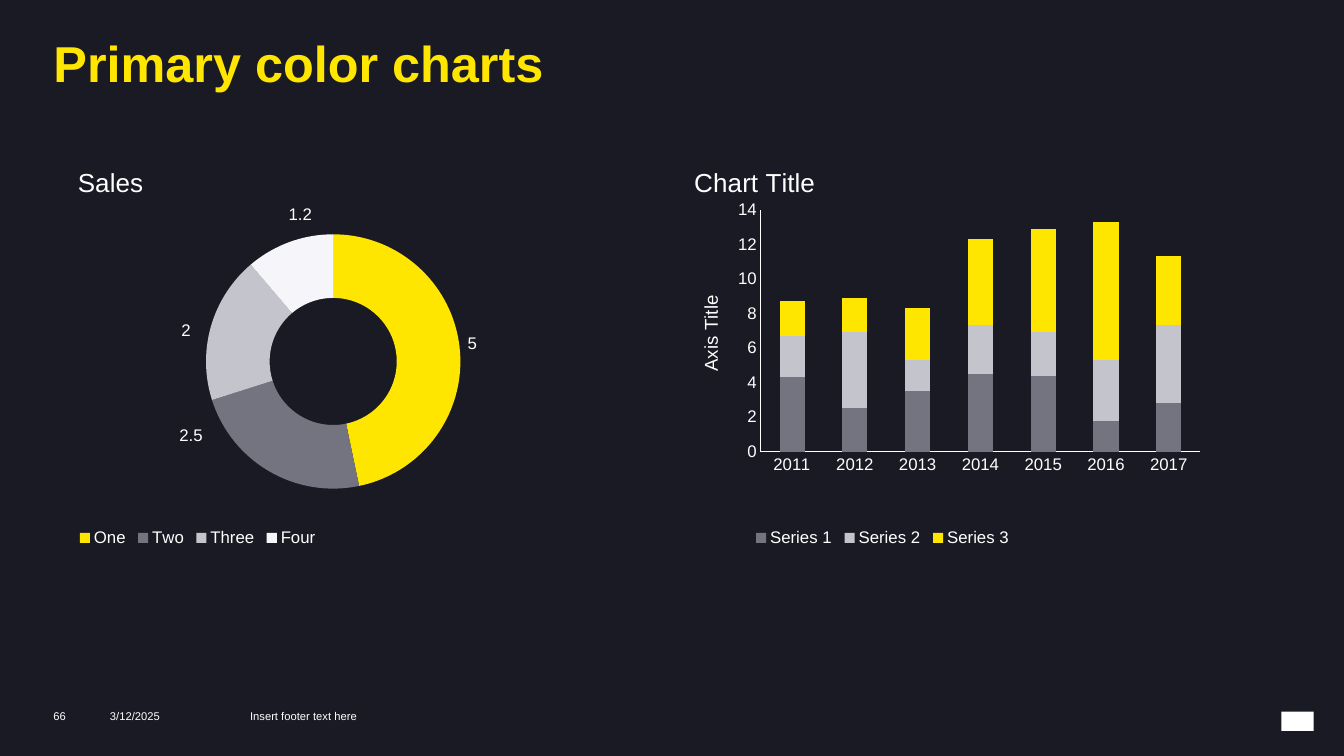
from lxml import etree
from pptx import Presentation
from pptx.chart.data import CategoryChartData
from pptx.dml.color import RGBColor
from pptx.enum.chart import XL_CHART_TYPE as ChartType, XL_LEGEND_POSITION as LegendPos
from pptx.enum.chart import XL_TICK_MARK as TickMark
from pptx.enum.shapes import MSO_SHAPE as Shape
from pptx.enum.text import MSO_ANCHOR as Anchor
from pptx.oxml.ns import qn
from pptx.util import Inches, Pt

FONT = "Arial"
YELLOW, DARK, WHITE = "FFE600", "1A1A24", "FFFFFF"
GREY, SILVER, PALE = "747480", "C4C4CD", "F6F6FA"


def rgb(value):
    return RGBColor.from_string(value)


def paint(fill, color):
    fill.solid()
    fill.fore_color.rgb = rgb(color)


def style(font, size=12, color=WHITE, bold=False):
    font.name, font.size, font.bold = FONT, Pt(size), bold
    font.color.rgb = rgb(color)


def write(frame, text, spacing=None, **format):
    frame.text = text
    paragraph = frame.paragraphs[0]
    if spacing:
        paragraph.line_spacing = spacing
    style(paragraph.runs[0].font, **format)


def clear_margins(frame):
    frame.margin_left = frame.margin_right = frame.margin_top = frame.margin_bottom = 0
    frame.word_wrap = True


def place(element, index, inner=False, **position):
    """Give a chart part a manual layout, in fractions of the chart."""
    for old in element.findall(qn("c:layout")):
        element.remove(old)
    layout = etree.Element(qn("c:layout"))
    manual = etree.SubElement(layout, qn("c:manualLayout"))
    entries = {"layoutTarget": "inner"} if inner else {}
    if inner or "w" in position:
        entries.update(xMode="edge", yMode="edge")
    entries.update(position)
    for tag, value in entries.items():
        etree.SubElement(manual, qn(f"c:{tag}")).set("val", str(value))
    element.insert(index, layout)


def place_title(title, text, x, y, size):
    write(title.text_frame, text, size=size)
    place(title._element, 1, xMode="edge", yMode="edge", x=x, y=y)


def add_base_chart(slide, box, kind, categories, series, title, title_x, plot, legend_x):
    data = CategoryChartData()
    data.categories = categories
    for name, values in series.items():
        data.add_series(name, values)
    chart = slide.shapes.add_chart(kind, *map(Inches, box), data).chart
    style(chart.font, size=10)
    chart.has_title = True
    place_title(chart.chart_title, title, title_x, 0.03, 18.6)
    chart.has_legend = True
    chart.legend.position = LegendPos.BOTTOM
    chart.legend.include_in_layout = False
    style(chart.legend.font)
    place(chart.legend._element, 1, x=legend_x, y=0.91, w=0.45, h=0.08)
    plot_area = chart._chartSpace.find(".//" + qn("c:plotArea"))
    place(plot_area, 0, inner=True, **dict(zip("xywh", plot)))
    return chart


def add_sales_doughnut(slide, box):
    chart = add_base_chart(
        slide, box, ChartType.DOUGHNUT, ["One", "Two", "Three", "Four"],
        {"Series 1": [5, 2.5, 2, 1.2]}, "Sales", 0.01,
        (0.25, 0.21, 0.46, 0.62), 0.01)
    ring = chart.plots[0]
    ring.vary_by_categories = True
    ring._element.find(qn("c:holeSize")).set("val", "68")
    sales = ring.series[0]
    labels = sales.data_labels
    labels.show_value = True
    style(labels.font)
    # Segment colours, with each label moved outside the ring
    segments = [(YELLOW, 0.08, -0.02), (GREY, -0.17, -0.02),
                (SILVER, -0.1, -0.01), (PALE, 0, -0.14)]
    for index, (color, _, _) in enumerate(segments):
        point = sales.points[index]
        paint(point.format.fill, color)
        point.format.line.fill.background()
        style(point.data_label.font)
    moved_labels = sales._element.findall(".//" + qn("c:dLbl"))
    for label, (_, dx, dy) in zip(moved_labels, segments):
        place(label, 1, x=dx, y=dy)
    for leader in sales._element.iter(qn("c:showLeaderLines")):
        leader.set("val", "0")


def add_yearly_columns(slide, box):
    chart = add_base_chart(
        slide, box, ChartType.COLUMN_STACKED, [str(year) for year in range(2011, 2018)],
        {"Series 1": [4.3, 2.5, 3.5, 4.5, 4.4, 1.8, 2.8],
         "Series 2": [2.4, 4.4, 1.8, 2.8, 2.5, 3.5, 4.5],
         "Series 3": [2, 2, 3, 5, 6, 8, 4]},
        "Chart Title", 0.01, (0.13, 0.15, 0.74, 0.59), 0.11)
    columns = chart.plots[0]
    columns.gap_width, columns.overlap = 150, 100
    columns.vary_by_categories = False
    for series, color in zip(columns.series, (GREY, SILVER, YELLOW)):
        paint(series.format.fill, color)
    for axis in (chart.category_axis, chart.value_axis):
        axis.has_major_gridlines = False
        axis.major_tick_mark = axis.minor_tick_mark = TickMark.NONE
        axis.format.line.color.rgb = rgb(WHITE)
        axis.format.line.width = Pt(0.75)
        style(axis.tick_labels.font)
    values = chart.value_axis
    values.minimum_scale, values.maximum_scale, values.major_unit = 0, 14, 2
    values.has_title = True
    place_title(values.axis_title, "Axis Title", 0.02, 0.35, 13.3)


def add_heading(slide, box):
    heading = slide.shapes.title
    heading.left, heading.top, heading.width, heading.height = map(Inches, box)
    clear_margins(heading.text_frame)
    heading.text_frame.vertical_anchor = Anchor.BOTTOM
    write(heading.text_frame, "Primary color charts", spacing=0.85,
          size=36, color=YELLOW, bold=True)
    heading.text_frame.paragraphs[0].alignment = 1


def add_footer(slide, box):
    left, top, _, height = box
    # Page number, date and footer text run on from each other
    for text, width in (("66", 0.56), ("3/12/2025", 1.39), ("Insert footer text here", 4.18)):
        note = slide.shapes.add_textbox(*map(Inches, (left, top, width, height)))
        clear_margins(note.text_frame)
        write(note.text_frame, text, size=8)
        left += width


def add_corner_mark(slide, box):
    mark = slide.shapes.add_shape(Shape.RECTANGLE, *map(Inches, box))
    mark.shadow.inherit = False
    paint(mark.fill, WHITE)
    mark.line.fill.background()


def main():
    deck = Presentation()
    deck.slide_width, deck.slide_height = Inches(13.33), Inches(7.5)
    slide = deck.slides.add_slide(deck.slide_layouts[5])
    paint(slide.background.fill, DARK)
    add_corner_mark(slide, (12.71, 7.06, 0.32, 0.19))
    add_heading(slide, (0.53, 0.41, 12.28, 0.51))
    add_footer(slide, (0.53, 7.04, 6.13, 0.13))
    add_sales_doughnut(slide, (0.67, 1.47, 5.49, 4.07))
    add_yearly_columns(slide, (6.78, 1.47, 5.89, 4.07))
    deck.save("out.pptx")


if __name__ == "__main__":
    main()
